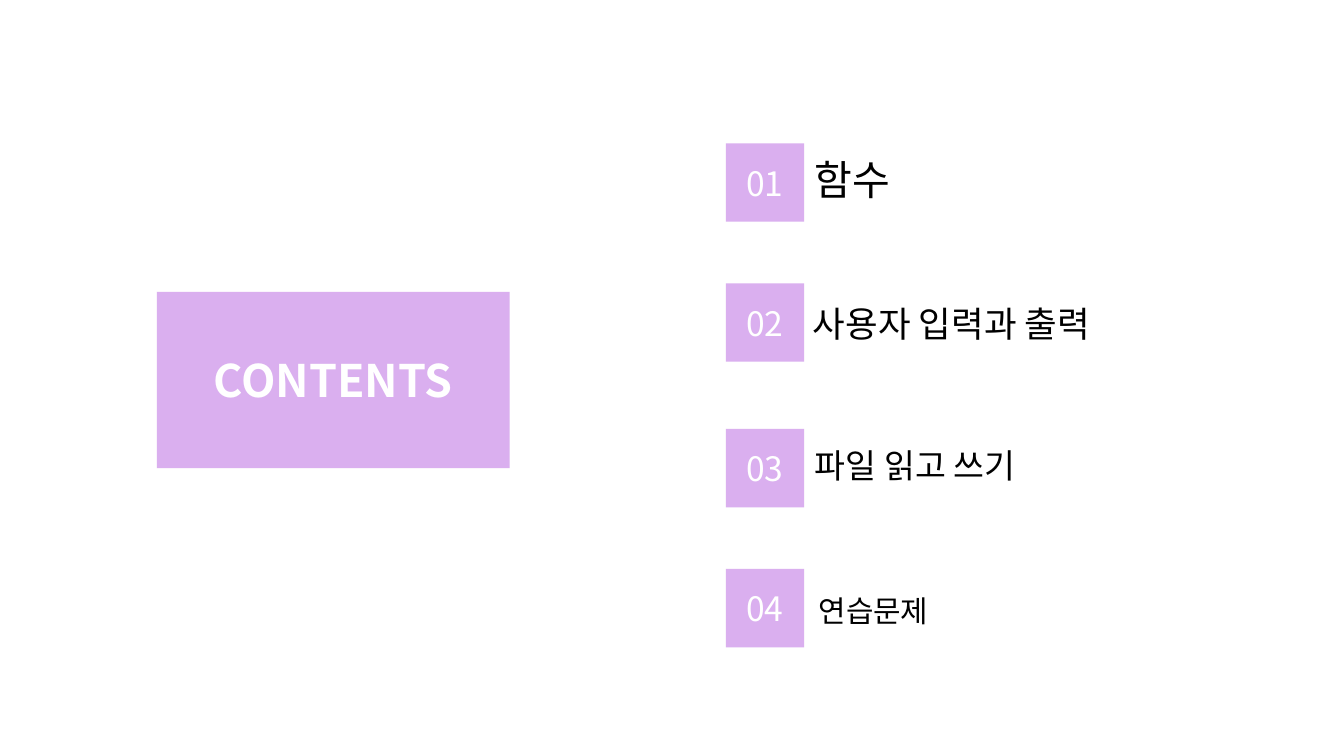
from dataclasses import dataclass
from typing import Any

from lxml import etree
from pptx import Presentation
from pptx.dml.color import RGBColor
from pptx.enum.shapes import MSO_SHAPE
from pptx.enum.text import MSO_ANCHOR, MSO_AUTO_SIZE, PP_ALIGN
from pptx.oxml.ns import qn
from pptx.util import Inches, Pt

RECT = MSO_SHAPE.RECTANGLE
MIDDLE, TOP = MSO_ANCHOR.MIDDLE, MSO_ANCHOR.TOP
LEFT, CENTER = PP_ALIGN.LEFT, PP_ALIGN.CENTER
FIXED = MSO_AUTO_SIZE.NONE
COLS, ROWS = 240, 135
WIDTH, HEIGHT = Inches(20), Inches(11.25)


@dataclass(frozen=True)
class Theme:
    """Colours, font and type sizes of the deck."""

    face: str = "Noto Sans CJK KR"
    lilac: RGBColor = RGBColor(0xDA, 0xAF, 0xEF)
    white: RGBColor = RGBColor(0xFF, 0xFF, 0xFF)
    black: RGBColor = RGBColor(0, 0, 0)
    title: int = 48
    badge: int = 36
    space: int = 32


@dataclass(frozen=True)
class Box:
    """A place on the grid, in columns and rows."""

    col: float
    row: float
    wide: float
    high: float

    def frame(self) -> tuple[int, int, int, int]:
        """Return left, top, width and height in slide units."""
        x, y = WIDTH / COLS, HEIGHT / ROWS
        return (round(self.col * x), round(self.row * y),
                round(self.wide * x), round(self.high * y))


@dataclass(frozen=True)
class Run:
    """A piece of text in one size."""

    text: str
    size: int


@dataclass(frozen=True)
class Topic:
    """A numbered entry of the contents."""

    row: float
    box: Box
    runs: tuple[Run, ...]
    align: Any = CENTER
    anchor: Any = MIDDLE


THEME = Theme()
HEAD = Box(28, 52.1, 63, 31.5)
BADGE_COL, BADGE_SIDE = 129.6, 14
TOPICS = (
    Topic(25.6, Box(99, 24.5, 108, 15), (Run("함수 ", 44),)),
    Topic(50.6, Box(144, 53.3, 96, 9.1), (Run("사용자 입력과 출력", 38),),
          LEFT, TOP),
    Topic(76.6, Box(110, 75.5, 108, 15),
          (Run("파일 읽고 쓰기", 36), Run(" ", THEME.space))),
    Topic(101.6, Box(102, 101.5, 108, 15), (Run("연습문제", 32),)),
)


def write(shape: Any, runs: tuple[Run, ...], color: RGBColor,
          align: Any = CENTER, anchor: Any = MIDDLE, bold: bool = False) -> None:
    """Fill the shape with one paragraph of runs."""
    frame = shape.text_frame
    frame.word_wrap = True
    frame.auto_size = FIXED
    frame.vertical_anchor = anchor
    para = frame.paragraphs[0]
    para.alignment = align
    for part in runs:
        run = para.add_run()
        run.text = part.text
        font = run.font
        font.name, font.size, font.bold = THEME.face, Pt(part.size), bold
        font.color.rgb = color
        east = etree.SubElement(font._element, qn("a:ea"))
        east.set("typeface", THEME.face)


def paint(shape: Any) -> None:
    """Give the shape a plain lilac fill."""
    shape.fill.solid()
    shape.fill.fore_color.rgb = THEME.lilac
    shape.line.fill.background()


def add_head(slide: Any) -> None:
    """Place and format the title."""
    head = slide.shapes.title
    head.left, head.top, head.width, head.height = HEAD.frame()
    paint(head)
    write(head, (Run("CONTENTS", THEME.title),), THEME.white, bold=True)


def add_badge(slide: Any, num: int, row: float) -> None:
    """Draw a numbered square."""
    box = Box(BADGE_COL, row, BADGE_SIDE, BADGE_SIDE)
    badge = slide.shapes.add_shape(RECT, *box.frame())
    badge.shadow.inherit = False
    paint(badge)
    write(badge, (Run(f"{num:02}", THEME.badge),), THEME.white)


def add_label(slide: Any, topic: Topic) -> None:
    """Write the name of a topic."""
    label = slide.shapes.add_textbox(*topic.box.frame())
    write(label, topic.runs, THEME.black, topic.align, topic.anchor)


def main() -> None:
    """Build and save the contents slide."""
    deck = Presentation()
    deck.slide_width, deck.slide_height = WIDTH, HEIGHT
    slide = deck.slides.add_slide(deck.slide_layouts[5])
    add_head(slide)
    for num, topic in enumerate(TOPICS, 1):
        add_badge(slide, num, topic.row)
        add_label(slide, topic)
    deck.save("out.pptx")


if __name__ == "__main__":
    main()
